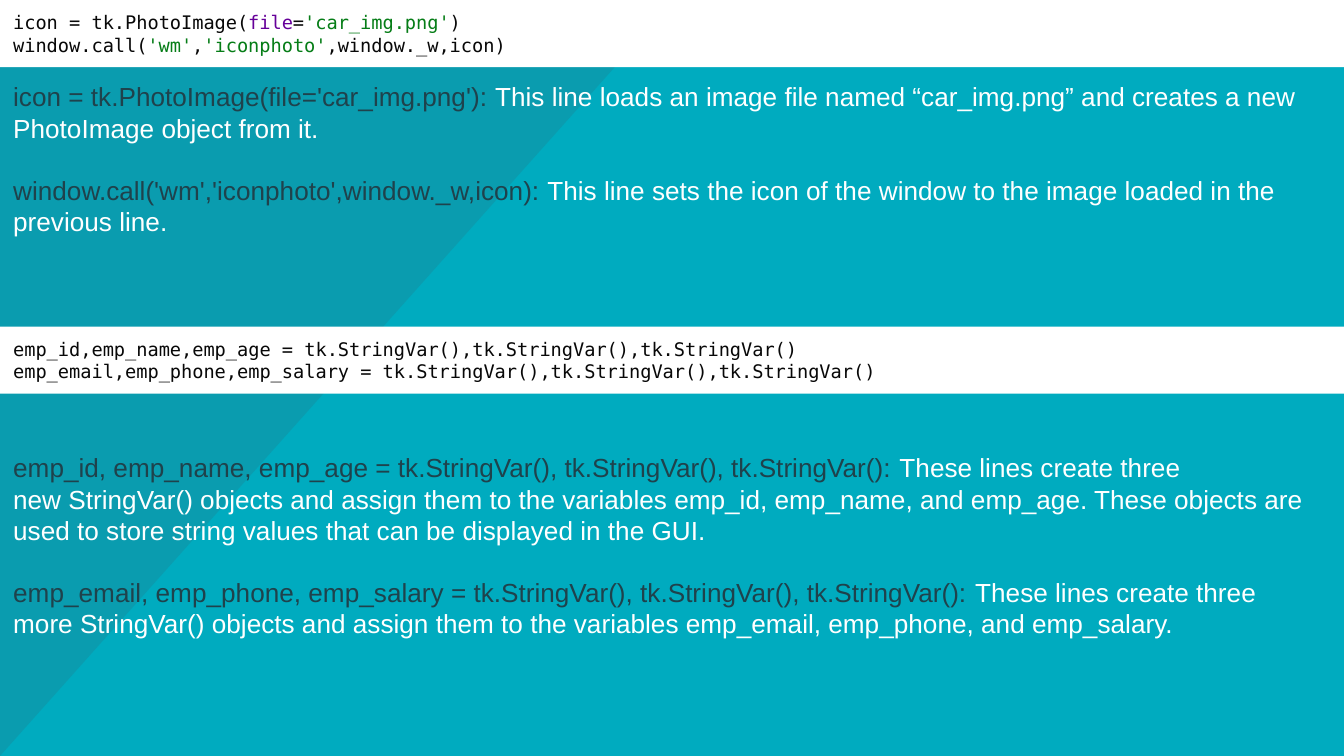
from pptx import Presentation
from pptx.dml.color import RGBColor
from pptx.enum.shapes import MSO_SHAPE
from pptx.enum.text import MSO_ANCHOR, PP_ALIGN
from pptx.oxml.ns import qn
from pptx.util import Inches, Pt
from lxml.etree import SubElement

TEAL = RGBColor(0x00, 0xAB, 0xBF)
SLATE = RGBColor(0x33, 0x65, 0x74)
WHITE = RGBColor(0xFF, 0xFF, 0xFF)
DARK = RGBColor(0x1F, 0x42, 0x4C)
INK = RGBColor(0x08, 0x08, 0x08)
PURPLE = RGBColor(0x66, 0x00, 0x99)
GREEN = RGBColor(0x06, 0x7D, 0x17)

WIDTH = Inches(10)
HEIGHT = WIDTH * 9 // 16
BAND_HEIGHT = Inches(0.5)
EXPLANATION_HEIGHT = Inches(1.08)
HARD_SPACE = chr(160)

ICON_CODE = [
    [("icon = tk.PhotoImage(", INK), ("file", PURPLE), ("=", INK),
     ("'car_img.png'", GREEN), (")", INK)],
    [("window.call(", INK), ("'wm'", GREEN), (",", INK),
     ("'iconphoto'", GREEN), (",window._w,icon)", INK)],
]
VARIABLE_CODE = [
    [("emp_id,emp_name,emp_age = tk.StringVar(),tk.StringVar(),tk.StringVar()", INK)],
    [("emp_email,emp_phone,emp_salary = tk.StringVar(),tk.StringVar(),tk.StringVar()", INK)],
]
ICON_NOTES = [
    [("icon = tk.PhotoImage(file='car_img.png'): ", DARK),
     ("This line loads an image file named “car_img.png” and creates a new "
      "PhotoImage object from it.", WHITE)],
    [("window.call('wm','iconphoto',window._w,icon): ", DARK),
     ("This line sets the icon of the window to the image loaded in the "
      "previous line.", WHITE)],
]
VARIABLE_NOTES = [
    [("emp_id, emp_name, emp_age = tk.StringVar(), tk.StringVar(), tk.StringVar(): ", DARK),
     ("These lines create three new~StringVar()~objects and assign them to the "
      "variables~emp_id,~emp_name, and~emp_age. These objects are used to store "
      "string values that can be displayed in the GUI.", WHITE)],
    [("emp_email, emp_phone, emp_salary = tk.StringVar(), tk.StringVar(), tk.StringVar(): ", DARK),
     ("These lines create three more~StringVar()~objects and assign them to the "
      "variables~emp_email,~emp_phone, and~emp_salary.", WHITE)],
]


def add_filled_shape(slide, kind, left, top, width, height, color, opacity=100):
    """Add a borderless preset shape with an optional transparent fill."""
    shape = slide.shapes.add_shape(kind, left, top, width, height)
    shape.shadow.inherit = False
    shape.line.fill.background()
    shape.fill.solid()
    shape.fill.fore_color.rgb = color
    if opacity < 100:
        fill_color = shape.fill._xPr.find(qn("a:solidFill"))[0]
        SubElement(fill_color, qn("a:alpha"), val=str(opacity * 1000))
    return shape


def write_paragraphs(text_frame, paragraphs, font_name, size, gap=0):
    """Write paragraphs of coloured segments, with ~ marking a hard space."""
    for index, segments in enumerate(paragraphs):
        paragraph = text_frame.add_paragraph() if index else text_frame.paragraphs[0]
        paragraph.alignment = PP_ALIGN.LEFT
        if index and gap:
            paragraph.space_before = Pt(gap)
        for text, color in segments:
            run = paragraph.add_run()
            run.text = text.replace("~", HARD_SPACE)
            run.font.name = font_name
            run.font.size = Pt(size)
            run.font.color.rgb = color


def add_backdrop(slide):
    """Add the teal background with its darker corner."""
    slide.background.fill.solid()
    slide.background.fill.fore_color.rgb = TEAL
    span = Inches(5.02)
    corner = add_filled_shape(slide, MSO_SHAPE.RIGHT_TRIANGLE, (span - HEIGHT) // 2,
                              (HEIGHT - span) // 2, HEIGHT, span, SLATE, 32)
    corner.rotation = 90
    add_filled_shape(slide, MSO_SHAPE.RECTANGLE, 0, 0, WIDTH, HEIGHT, TEAL, 36)


def add_code_band(slide, top, lines):
    """Add a full-width white band of code."""
    band = add_filled_shape(slide, MSO_SHAPE.RECTANGLE, 0, top, WIDTH, BAND_HEIGHT, WHITE)
    band.text_frame.word_wrap = False
    band.text_frame.vertical_anchor = MSO_ANCHOR.MIDDLE
    write_paragraphs(band.text_frame, lines, "DejaVu Sans Mono", 10)


def add_explanation(slide, top, paragraphs):
    """Add a full-width explanation of the code."""
    text_frame = slide.shapes.add_textbox(0, top, WIDTH, EXPLANATION_HEIGHT).text_frame
    text_frame.word_wrap = True
    text_frame.margin_top = text_frame.margin_bottom = Inches(0.1)
    write_paragraphs(text_frame, paragraphs, "Arial", 14, gap=16.5)


def main():
    """Build and save the slide."""
    presentation = Presentation()
    presentation.slide_width, presentation.slide_height = WIDTH, HEIGHT
    slide = presentation.slides.add_slide(presentation.slide_layouts[6])
    add_backdrop(slide)
    add_explanation(slide, BAND_HEIGHT, ICON_NOTES)
    add_code_band(slide, 0, ICON_CODE)
    add_code_band(slide, Inches(2.43), VARIABLE_CODE)
    add_explanation(slide, Inches(3.26), VARIABLE_NOTES)
    presentation.save("out.pptx")


if __name__ == "__main__":
    main()
